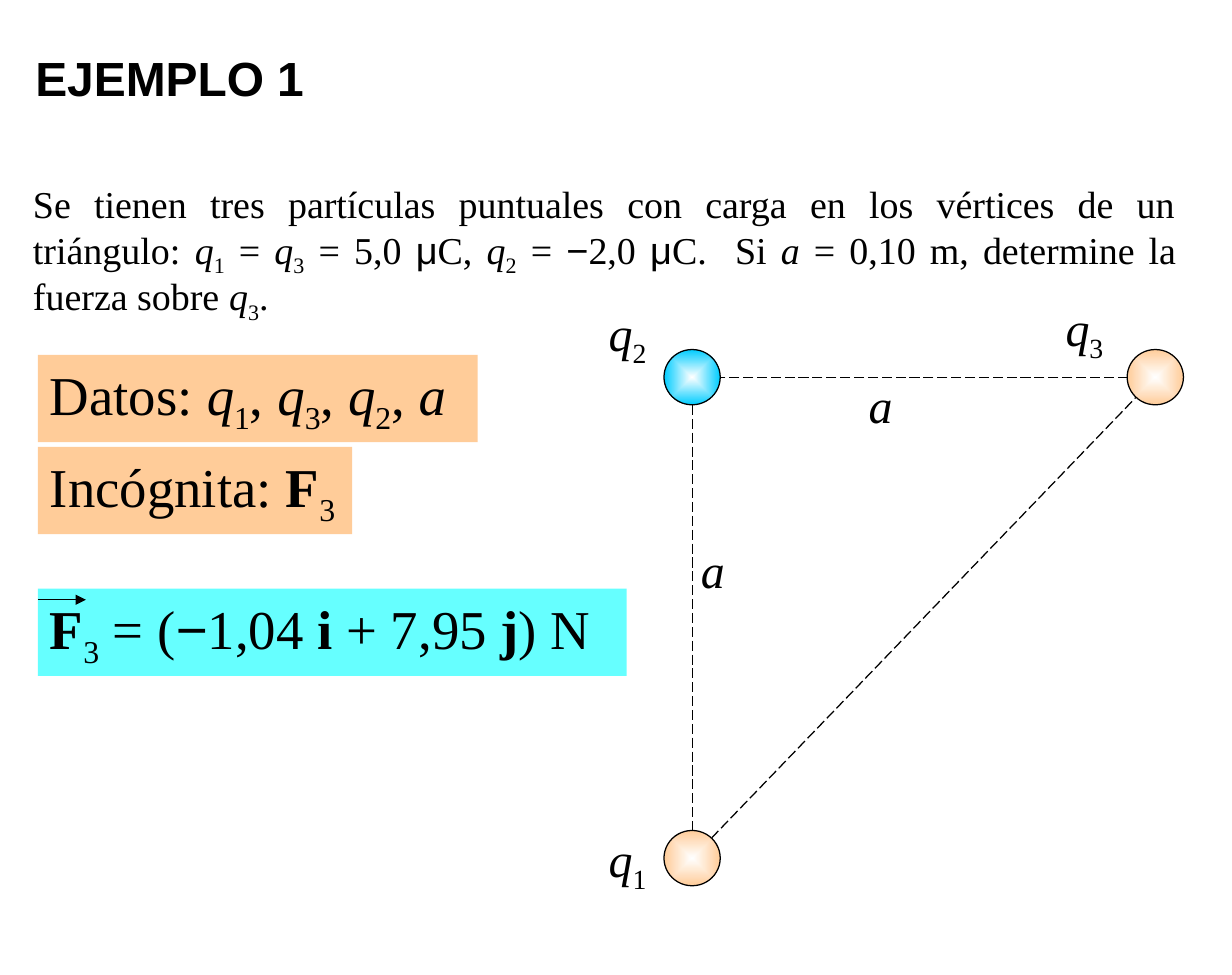
from dataclasses import dataclass

from lxml import etree
from pptx import Presentation
from pptx.dml.color import RGBColor
from pptx.enum.dml import MSO_LINE
from pptx.enum.shapes import MSO_CONNECTOR, MSO_SHAPE
from pptx.enum.text import MSO_ANCHOR, MSO_AUTO_SIZE, PP_ALIGN
from pptx.oxml.ns import qn
from pptx.shapes.autoshape import Shape
from pptx.shapes.connector import Connector
from pptx.slide import Slide
from pptx.util import Cm, Pt

BLACK = RGBColor(0x00, 0x00, 0x00)
WHITE = RGBColor(0xFF, 0xFF, 0xFF)
PEACH = RGBColor(0xFF, 0xCC, 0x99)
BLUE = RGBColor(0x00, 0xCC, 0xFF)
CYAN = RGBColor(0x66, 0xFF, 0xFF)

STRAIGHT = MSO_CONNECTOR.STRAIGHT
RECTANGLE = MSO_SHAPE.RECTANGLE
OVAL = MSO_SHAPE.OVAL
LONG_DASH = MSO_LINE.LONG_DASH
TOP = MSO_ANCHOR.TOP
LEFT = PP_ALIGN.LEFT
JUSTIFY = PP_ALIGN.JUSTIFY
FIT_SHAPE = MSO_AUTO_SIZE.SHAPE_TO_FIT_TEXT

SANS = "Arial"
SERIF = "Times New Roman"
LABEL_SIZE = 28
BOX_SIZE = 32
BOX_LEFT, BOX_HEIGHT = 0.78, 1.8
CHARGE_WIDTH, CHARGE_HEIGHT = 1.16, 1.14
LEFT_X, RIGHT_X = 14.27, 23.82
TOP_Y, BOTTOM_Y = 7.78, 17.7


@dataclass(frozen=True)
class TextRun:
    text: str
    font: str = SERIF
    bold: bool = False
    italic: bool = False
    subscript: bool = False


@dataclass(frozen=True)
class Charge:
    number: int
    x: float
    y: float
    color: RGBColor
    label_left: float
    label_top: float


@dataclass(frozen=True)
class Box:
    top: float
    width: float
    color: RGBColor
    runs: list[TextRun]


def italic(text: str) -> TextRun:
    return TextRun(text, italic=True)


def bold(text: str) -> TextRun:
    return TextRun(text, bold=True)


def subscript(number: int) -> TextRun:
    return TextRun(str(number), subscript=True)


def charge_name(number: int) -> list[TextRun]:
    return [italic("q"), subscript(number)]


MINUS = TextRun("−", SANS)
MICRO = TextRun("μ", SANS)
COMMA = TextRun(", ")
EQUALS = TextRun(" = ")

TITLE = [TextRun("EJEMPLO 1", SANS, bold=True)]
STATEMENT = [
    TextRun("Se tienen tres partículas puntuales con carga en los vértices de un triángulo: "),
    *charge_name(1), EQUALS, *charge_name(3), TextRun(" = 5,0 "), MICRO, TextRun("C, "),
    *charge_name(2), EQUALS, MINUS, TextRun("2,0 "), MICRO, TextRun("C.  Si "),
    italic("a"), TextRun(" = 0,10 m, determine la fuerza sobre "), *charge_name(3), TextRun("."),
]
BOXES = [
    Box(7.32, 9.07, PEACH, [TextRun("Datos: "), *charge_name(1), COMMA, *charge_name(3), COMMA,
                            *charge_name(2), COMMA, italic("a")]),
    Box(9.22, 6.48, PEACH, [TextRun("Incógnita: "), bold("F"), subscript(3)]),
    Box(12.14, 12.14, CYAN, [bold("F"), subscript(3), TextRun(" = ("), MINUS, TextRun("1,04 "),
                             bold("i"), TextRun(" + 7,95 "), bold("j"), TextRun(") N")]),
]
CHARGES = [
    Charge(1, LEFT_X, BOTTOM_Y, PEACH, 12.55, 17.12),
    Charge(3, RIGHT_X, TOP_Y, PEACH, 21.97, 6.16),
    Charge(2, LEFT_X, TOP_Y, BLUE, 12.55, 6.26),
]
SIDE_LABELS = [(17.91, 7.75), (14.45, 11.16)]


def write_runs(shape: Shape, runs: list[TextRun], size: float, align: PP_ALIGN = LEFT) -> None:
    text_frame = shape.text_frame
    text_frame.word_wrap = True
    text_frame.vertical_anchor = TOP
    paragraph = text_frame.paragraphs[0]
    paragraph.alignment = align
    for item in runs:
        run = paragraph.add_run()
        run.text = item.text
        run.font.name = item.font
        run.font.size = Pt(size)
        run.font.bold = item.bold
        run.font.italic = item.italic
        run.font.color.rgb = BLACK
        if item.subscript:
            run.font._element.set("baseline", "-25000")


def add_text(slide: Slide, left: float, top: float, width: float, height: float,
             runs: list[TextRun], size: float, align: PP_ALIGN = LEFT) -> Shape:
    shape = slide.shapes.add_textbox(Cm(left), Cm(top), Cm(width), Cm(height))
    write_runs(shape, runs, size, align)
    return shape


def add_label(slide: Slide, left: float, top: float, width: float, height: float,
              runs: list[TextRun]) -> None:
    """Add a text without margins that grows with its content."""
    text_frame = add_text(slide, left, top, width, height, runs, LABEL_SIZE).text_frame
    text_frame.margin_left = text_frame.margin_right = 0
    text_frame.margin_top = text_frame.margin_bottom = 0
    text_frame.word_wrap = False
    text_frame.auto_size = FIT_SHAPE


def add_line(slide: Slide, start: tuple[float, float], end: tuple[float, float],
             width: float) -> Connector:
    line = slide.shapes.add_connector(STRAIGHT, *map(Cm, start), *map(Cm, end))
    line.line.color.rgb = BLACK
    line.line.width = Pt(width)
    etree.SubElement(line._element.spPr, qn("a:effectLst"))
    return line


def add_charge(slide: Slide, charge: Charge) -> None:
    """Add a circle that shades from a white centre to its own colour."""
    shape = slide.shapes.add_shape(
        OVAL, Cm(charge.x - CHARGE_WIDTH / 2), Cm(charge.y - CHARGE_HEIGHT / 2),
        Cm(CHARGE_WIDTH), Cm(CHARGE_HEIGHT))
    shape.shadow.inherit = False
    shape.line.color.rgb = BLACK
    shape.line.width = Pt(0.75)
    shape.fill.gradient()
    for stop, color in zip(shape.fill.gradient_stops, (WHITE, charge.color)):
        stop.color.rgb = color
    gradient = shape._element.spPr.find(qn("a:gradFill"))
    gradient.remove(gradient.find(qn("a:lin")))
    shading = etree.SubElement(gradient, qn("a:path"), {"path": "rect"})
    etree.SubElement(shading, qn("a:fillToRect"), dict.fromkeys("ltrb", "50000"))


def add_box(slide: Slide, box: Box) -> None:
    shape = slide.shapes.add_shape(
        RECTANGLE, Cm(BOX_LEFT), Cm(box.top), Cm(box.width), Cm(BOX_HEIGHT))
    shape.shadow.inherit = False
    shape.fill.solid()
    shape.fill.fore_color.rgb = box.color
    shape.line.fill.background()
    write_runs(shape, box.runs, BOX_SIZE)


def main() -> None:
    presentation = Presentation()
    presentation.slide_width, presentation.slide_height = Cm(25.4), Cm(20.11)
    slide = presentation.slides.add_slide(presentation.slide_layouts[6])

    add_text(slide, 0.48, 0.88, 21.56, 1.45, TITLE, 28)
    statement = add_text(slide, 0.43, 3.71, 24.08, 3.07, STATEMENT, 22.2, JUSTIFY)
    statement.text_frame.paragraphs[0].line_spacing = 0.9

    for left, top in SIDE_LABELS:
        add_label(slide, left, top, 0.48, 1.19, [italic("a")])
    corners = [(charge.x, charge.y) for charge in CHARGES]
    for start, end in zip(corners, corners[1:] + corners[:1]):
        add_line(slide, start, end, 0.75).line.dash_style = LONG_DASH
    for charge in CHARGES:
        add_label(slide, charge.label_left, charge.label_top, 0.79, 1.35,
                  charge_name(charge.number))
        add_charge(slide, charge)

    for box in BOXES:
        add_box(slide, box)
    vector_arrow = add_line(slide, (BOX_LEFT, 12.37), (1.77, 12.37), 0.5)
    etree.SubElement(vector_arrow.line._get_or_add_ln(), qn("a:tailEnd"), {"type": "triangle"})

    presentation.save("out.pptx")


if __name__ == "__main__":
    main()
